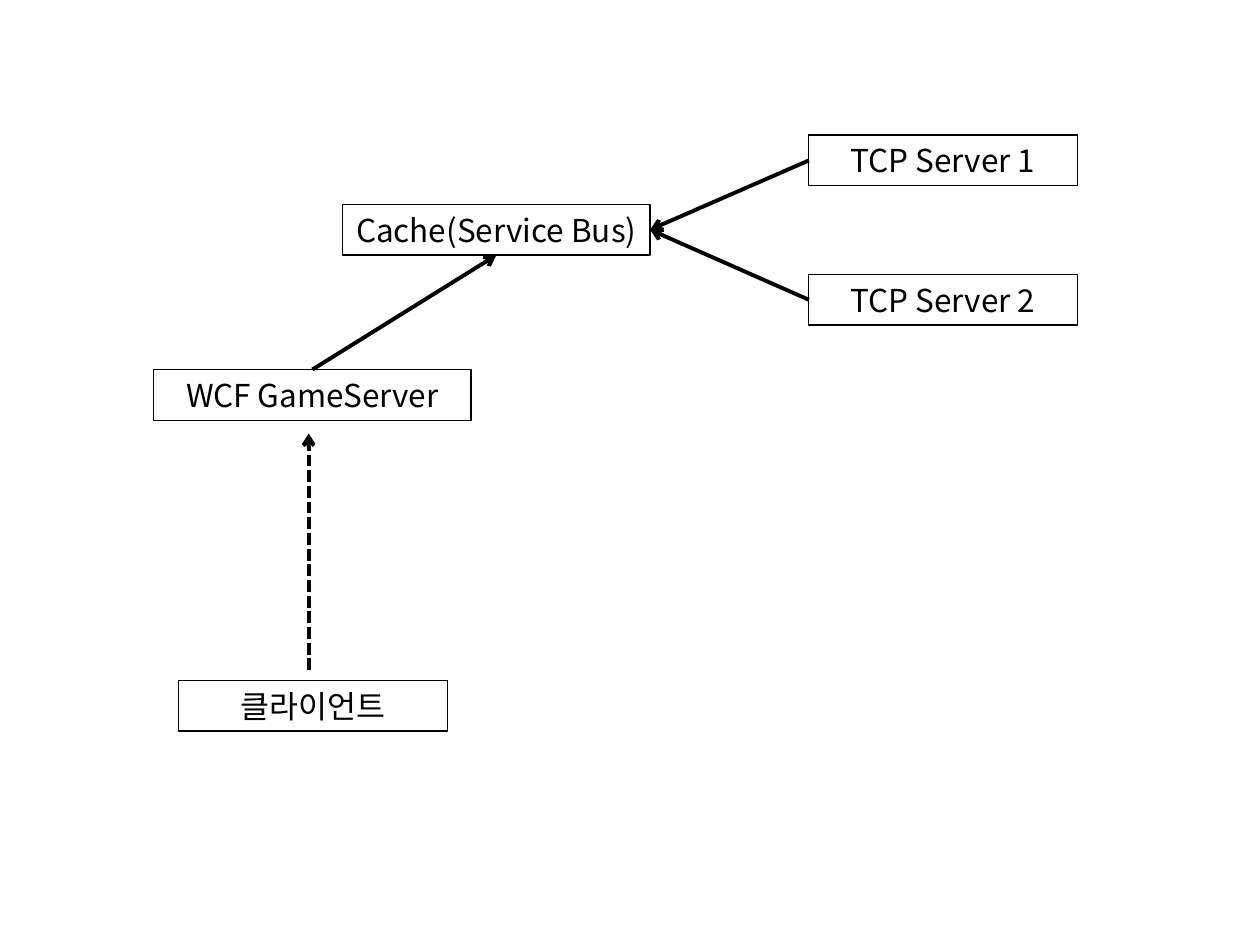
"""Build a slide showing how a client, game server, service bus and TCP servers connect."""
from lxml.etree import SubElement
from pptx import Presentation
from pptx.dml.color import RGBColor
from pptx.enum.dml import MSO_LINE as Dash
from pptx.enum.shapes import MSO_CONNECTOR as Connector, MSO_SHAPE as Shape
from pptx.enum.text import MSO_ANCHOR as Anchor, MSO_AUTO_SIZE as AutoSize, PP_ALIGN as Align
from pptx.oxml.ns import qn
from pptx.util import Pt

FONT = "Noto Sans CJK KR"
INK = "000000"
NODE_HEIGHT = 29
TOP, LEFT, BOTTOM, RIGHT = range(4)


def color(hex_code):
    return RGBColor.from_string(hex_code)


def add_arrow(start, end):
    arrow = slide.shapes.add_connector(Connector.STRAIGHT, *map(Pt, start + end))
    arrow.line.color.rgb = color(INK)
    arrow.line.width = Pt(2.25)
    SubElement(arrow.line._get_or_add_ln(), qn("a:tailEnd"), type="arrow")
    SubElement(arrow._element.spPr, qn("a:effectLst"))
    return arrow


prs = Presentation()
prs.slide_width, prs.slide_height = Pt(720), Pt(540)
slide = prs.slides.add_slide(prs.slide_layouts[6])

nodes = {}
for label, left, top, width in [
    ("TCP Server 1", 462.2, 77.2, 153.4),
    ("WCF GameServer", 87.8, 211.2, 181.4),
    ("클라이언트", 102.2, 388.8, 153.4),
    ("TCP Server 2", 462.2, 156.8, 153.4),
    ("Cache(Service Bus)", 195.8, 116.8, 175.7),
]:
    node = slide.shapes.add_shape(Shape.RECTANGLE, Pt(left), Pt(top), Pt(width), Pt(NODE_HEIGHT))
    node.shadow.inherit = False
    node.fill.background()
    node.line.color.rgb = color(INK)
    node.line.width = Pt(0.75)
    frame = node.text_frame
    frame.text = label
    frame.word_wrap = True
    frame.auto_size = AutoSize.SHAPE_TO_FIT_TEXT
    frame.vertical_anchor = Anchor.TOP
    paragraph = frame.paragraphs[0]
    paragraph.alignment = Align.CENTER
    paragraph.font.size = Pt(18)
    paragraph.font.color.rgb = color(INK)
    paragraph.font.name = FONT
    SubElement(paragraph.font._element, qn("a:ea"), typeface=FONT)
    nodes[label] = node

request = add_arrow((176.4, 383), (176.4, 247.7))
request.line.dash_style = Dash.SQUARE_DOT

for source, source_side, target_side in [
    ("WCF GameServer", TOP, BOTTOM),
    ("TCP Server 1", LEFT, RIGHT),
    ("TCP Server 2", LEFT, RIGHT),
]:
    link = add_arrow((0, 0), (0, 0))
    link.begin_connect(nodes[source], source_side)
    link.end_connect(nodes["Cache(Service Bus)"], target_side)

prs.save("out.pptx")
